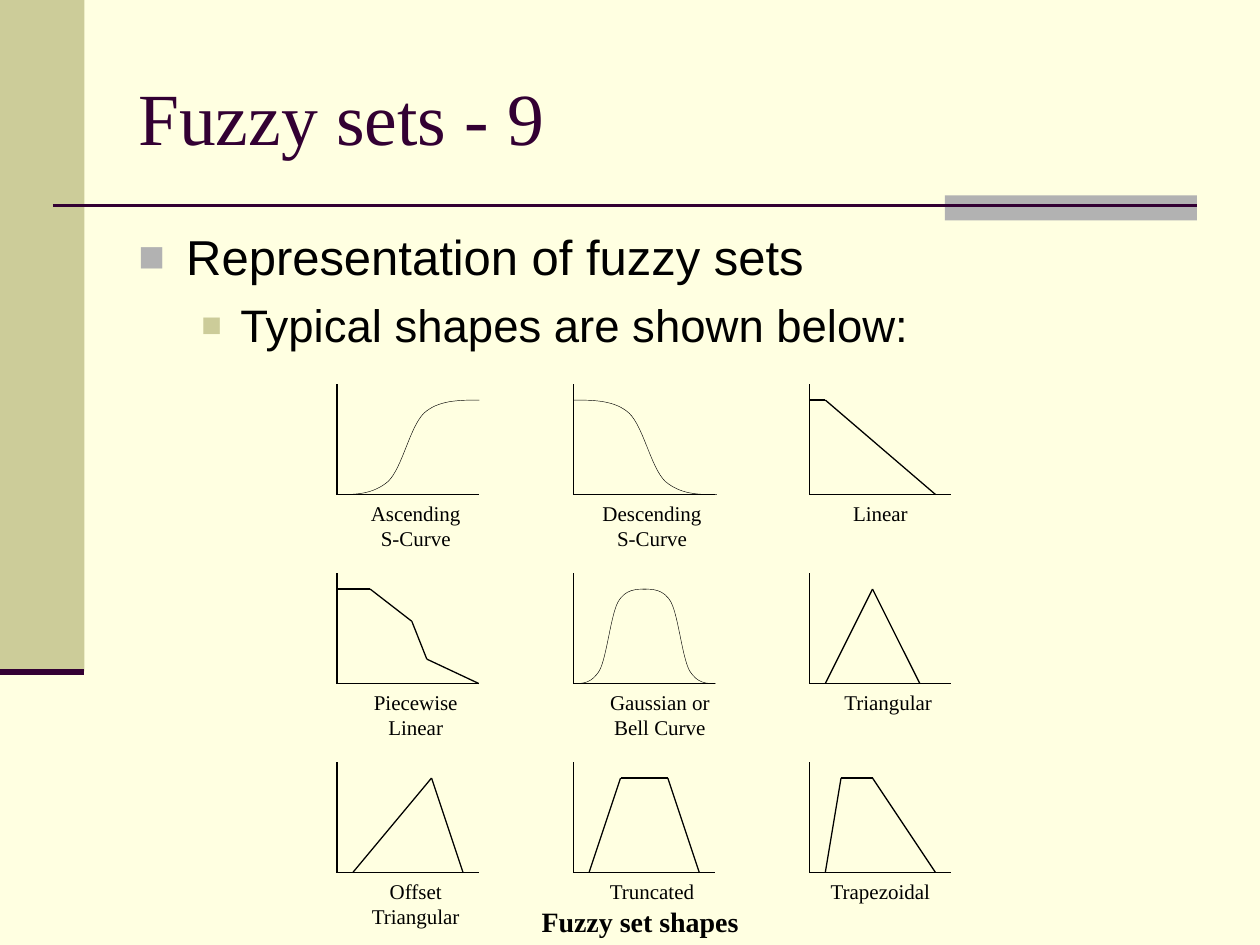
from dataclasses import dataclass

from lxml.etree import SubElement
from pptx import Presentation
from pptx.dml.color import RGBColor as RGB
from pptx.enum.shapes import MSO_CONNECTOR as LINK, MSO_SHAPE as SHAPE
from pptx.enum.text import MSO_ANCHOR as ANCHOR, PP_ALIGN as ALIGN
from pptx.oxml.ns import qn
from pptx.util import Inches, Pt


@dataclass(frozen=True)
class Theme:
    page: str = "FFFFE1"
    sand: str = "CCCC99"
    gray: str = "B2B2B2"
    plum: str = "330033"
    ink: str = "000000"
    serif: str = "Times New Roman"
    sans: str = "Arial"
    title: float = 42
    main: float = 28
    sub: float = 26
    label: float = 12
    note: float = 16


T = Theme()
UNIT = 1 / 8                          # grid of the plots, in inches
LEFT, BASE = 21.4 * UNIT, 31.4 * UNIT  # origin of the first plot
STEP_X, STEP_Y = 15 * UNIT, 12 * UNIT
WIDE, HIGH, TOP = 9, 7, 6             # axis lengths and peak, in units

# Control points of a rising curve in a unit square: three joined cubics
CURVE = [(0, 0), (0.13, 0), (0.25, 0), (0.36, 0.14), (0.46, 0.29),
         (0.51, 0.71), (0.61, 0.86), (0.71, 1), (0.86, 1), (1, 1)]

# Each plot: label, label offset and width, corners from the origin, in units
PLOTS = [
    [("Ascending S-Curve", 1, 8, []),
     ("Descending S-Curve", 1, 8, []),
     ("Linear", 1, 7, [(0, TOP), (1, TOP), (8, 0)])],
    [("Piecewise Linear", 1, 8,
      [(0, TOP), (2.1, TOP), (4.75, 3.95), (5.7, 1.55), (WIDE, 0)]),
     ("Gaussian or Bell Curve", 1, 9, []),
     ("Triangular", 1, 8, [(1, 0), (4, TOP), (7, 0)])],
    [("Offset Triangular", 1, 8, [(1, 0), (6, TOP), (8, 0)]),
     ("Truncated", 1, 8, [(1, 0), (3, TOP), (6, TOP), (8, 0)]),
     ("Trapezoidal", 0, 9, [(1, 0), (2, TOP), (4, TOP), (8, 0)])],
]

# Curved plots: (row, column) to (start offset, signed width), in inches
CURVES = {(0, 0): [(0, 1.13)], (0, 1): [(1.14, -1.14)],
          (1, 1): [(0, 0.58), (1.13, -0.58)]}


def draw_box(slide, x, y, w, h, color):
    box = slide.shapes.add_shape(SHAPE.RECTANGLE, Inches(x), Inches(y),
                                 Inches(w), Inches(h))
    box.shadow.inherit = False
    box.fill.solid()
    box.fill.fore_color.rgb = RGB.from_string(color)
    box.line.fill.background()


def draw_line(slide, start, end, color=T.ink, width=0.75):
    ends = [Inches(v) for v in (*start, *end)]
    line = slide.shapes.add_connector(LINK.STRAIGHT, *ends)
    line.line.color.rgb = RGB.from_string(color)
    line.line.width = Pt(width)
    SubElement(line._element.spPr, qn("a:effectLst"))


def draw_chain(slide, points):
    for start, end in zip(points, points[1:]):
        draw_line(slide, start, end)


def bend(shape):
    """Turn every three straight segments of a freeform into one cubic."""
    lines = list(shape._element.iter(qn("a:lnTo")))
    for i in range(0, len(lines), 3):
        first, *rest = lines[i:i + 3]
        first.tag = qn("a:cubicBezTo")
        for line in rest:
            first.append(line[0])
            line.getparent().remove(line)


def draw_curve(slide, x, y, width):
    """Draw a rise from (x, y); a negative width runs leftward."""
    points = [(Inches(x + u * width), Inches(y - v * TOP * UNIT))
              for u, v in CURVE]
    pen = slide.shapes.build_freeform(*points[0])
    pen.add_line_segments(points[1:], close=False)
    curve = pen.convert_to_shape()
    bend(curve)
    curve.shadow.inherit = False
    curve.fill.background()
    curve.line.color.rgb = RGB.from_string(T.ink)
    curve.line.width = Pt(0.25)


def add_frame(slide, x, y, w, h, anchor=ANCHOR.TOP):
    box = slide.shapes.add_textbox(Inches(x), Inches(y), Inches(w), Inches(h))
    frame = box.text_frame
    frame.word_wrap = True
    frame.vertical_anchor = anchor
    return frame


def write(para, text, size, font=T.serif, color=T.ink, bold=False,
          align=ALIGN.LEFT, before=0):
    para.alignment = align
    para.space_before = Pt(before)
    run = para.add_run()
    run.text = text
    run.font.size = Pt(size)
    run.font.name = font
    run.font.bold = bold
    run.font.color.rgb = RGB.from_string(color)


def add_bullet(para, color, scale, margin, hang):
    props = para._p.get_or_add_pPr()
    props.set("marL", str(Inches(margin)))
    props.set("indent", str(-Inches(hang)))
    tint = SubElement(props, qn("a:buClr"))
    SubElement(tint, qn("a:srgbClr"), val=color)
    SubElement(props, qn("a:buSzPct"), val=str(scale * 1000))
    SubElement(props, qn("a:buFont"), typeface=T.sans)
    SubElement(props, qn("a:buChar"), char="■")


def draw_plot(slide, row, col, label, shift, width, corners):
    x, y = LEFT + col * STEP_X, BASE + row * STEP_Y
    for chain in ([(0, HIGH), (0, 0), (WIDE, 0)], corners):
        draw_chain(slide, [(x + u * UNIT, y - v * UNIT) for u, v in chain])
    for start, span in CURVES.get((row, col), []):
        draw_curve(slide, x + start, y, span)
    frame = add_frame(slide, x + shift * UNIT, y, width * UNIT, 0.5)
    write(frame.paragraphs[0], label, T.label, align=ALIGN.CENTER)


def draw_frame(slide):
    """Draw the side band and the rule under the title."""
    draw_box(slide, 0, 0, 0.67, 5.33, T.sand)
    draw_box(slide, 7.5, 1.55, 2, 0.2, T.gray)
    draw_line(slide, (0.42, 1.63), (9.5, 1.63), T.plum, 1.5)
    draw_line(slide, (0, 5.33), (0.67, 5.33), T.plum, 3.5)


def main():
    deck = Presentation()
    deck.slide_width, deck.slide_height = Inches(10), Inches(7.5)
    slide = deck.slides.add_slide(deck.slide_layouts[6])
    slide.background.fill.solid()
    slide.background.fill.fore_color.rgb = RGB.from_string(T.page)
    draw_frame(slide)

    title = add_frame(slide, 1, 0.3, 8.5, 1.25, ANCHOR.MIDDLE)
    write(title.paragraphs[0], "Fuzzy sets - 9", T.title, color=T.plum)

    body = add_frame(slide, 1, 1.75, 8.5, 1.33)
    head, sub = body.paragraphs[0], body.add_paragraph()
    write(head, "Representation of fuzzy sets", T.main, font=T.sans, before=7)
    add_bullet(head, T.gray, 90, 0.38, 0.38)
    sub.level = 1
    write(sub, "Typical shapes are shown below:", T.sub, font=T.sans,
          before=6.5)
    add_bullet(sub, T.sand, 75, 0.81, 0.31)

    for row, plots in enumerate(PLOTS):
        for col, plot in enumerate(plots):
            draw_plot(slide, row, col, *plot)

    note = add_frame(slide, 3.08, 7.13, 4, 0.37)
    write(note.paragraphs[0], "Fuzzy set shapes", T.note, bold=True,
          align=ALIGN.CENTER, before=10)
    deck.save("out.pptx")


if __name__ == "__main__":
    main()
